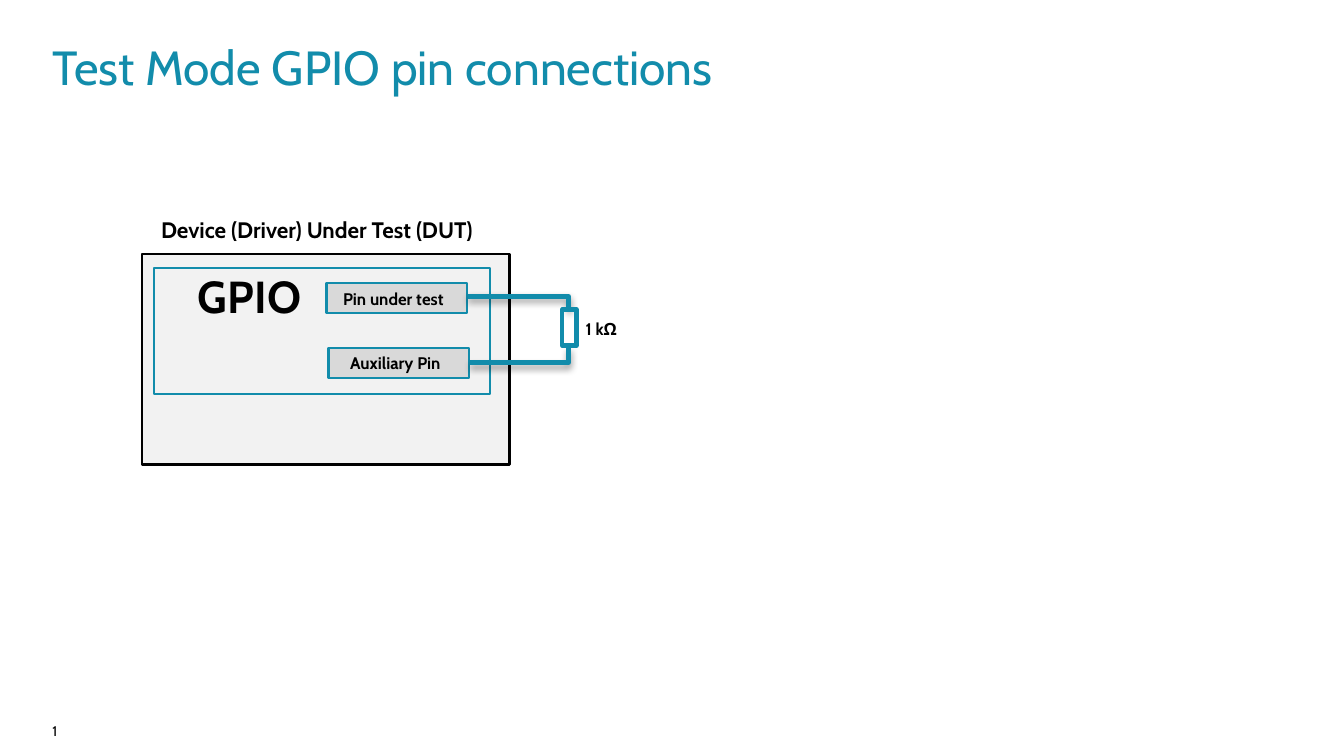
from dataclasses import dataclass

import lxml.etree
import pptx
import pptx.dml.color
import pptx.enum.shapes
import pptx.enum.text
import pptx.oxml.ns
import pptx.shapes.autoshape
import pptx.slide
import pptx.util

Cm = pptx.util.Cm
Pt = pptx.util.Pt
RECT = pptx.enum.shapes.MSO_SHAPE.RECTANGLE
ROUNDED = pptx.enum.shapes.MSO_SHAPE.ROUNDED_RECTANGLE
ALIGN = pptx.enum.text.PP_ALIGN
ANCHOR = pptx.enum.text.MSO_ANCHOR

FONT = "Cabin"
TEAL = "128CAB"
BLACK = "000000"
PALE_GREY = "F2F2F2"
PIN_GREY = "D9D9D9"
PIN_INSETS = (0.25, 0.13, 0.41, 0.13)


@dataclass
class Block:
    """A diagram shape; lengths in cm, text size and line width in points."""
    left: float
    top: float
    width: float
    height: float
    geometry: pptx.enum.shapes.MSO_SHAPE = RECT
    fill: str | None = None
    line: str | None = None
    line_width: float = 1.5
    text: str = ""
    size: float = 12
    insets: tuple[float, float, float, float] = (0.25, 0.13, 0.25, 0.13)


@dataclass
class Label:
    """Plain text at the top left of its box; lengths in cm."""
    text: str
    left: float
    top: float
    width: float
    height: float
    size: float
    color: str = BLACK
    bold: bool = False
    wrap: bool = True


@dataclass
class Wire:
    """Runs level from a pin to the resistor's axis, then to its end."""
    pin_x: float
    pin_y: float
    end_x: float
    end_y: float


def rgb(value: str) -> pptx.dml.color.RGBColor:
    return pptx.dml.color.RGBColor.from_string(value)


def write(frame: pptx.text.text.TextFrame, text: str, size: float, color: str,
          bold: bool, align: ALIGN, insets: tuple[float, float, float, float]) -> None:
    frame.margin_left, frame.margin_top, frame.margin_right, frame.margin_bottom = map(Cm, insets)
    paragraph = frame.paragraphs[0]
    paragraph.text = text
    paragraph.alignment = align
    paragraph.font.name = FONT
    paragraph.font.size = Pt(size)
    paragraph.font.bold = bold
    paragraph.font.color.rgb = rgb(color)


def draw_block(slide: pptx.slide.Slide, block: Block) -> None:
    shape = slide.shapes.add_shape(block.geometry, Cm(block.left), Cm(block.top),
                                   Cm(block.width), Cm(block.height))
    shape.shadow.inherit = False
    if block.fill:
        shape.fill.solid()
        shape.fill.fore_color.rgb = rgb(block.fill)
    else:
        shape.fill.background()
    if block.line:
        shape.line.color.rgb = rgb(block.line)
        shape.line.width = Pt(block.line_width)
    else:
        shape.line.fill.background()
    if block.text:
        shape.text_frame.word_wrap = True
        shape.text_frame.vertical_anchor = ANCHOR.MIDDLE
        write(shape.text_frame, block.text, block.size, BLACK, True, ALIGN.CENTER, block.insets)


def draw_label(slide: pptx.slide.Slide, label: Label) -> None:
    box = slide.shapes.add_textbox(Cm(label.left), Cm(label.top), Cm(label.width), Cm(label.height))
    box.text_frame.word_wrap = label.wrap
    write(box.text_frame, label.text, label.size, label.color, label.bold, ALIGN.LEFT, (0, 0, 0, 0))


def draw_wire(slide: pptx.slide.Slide, wire: Wire) -> None:
    connector = slide.shapes.add_connector(
        pptx.enum.shapes.MSO_CONNECTOR.ELBOW,
        Cm(wire.pin_x), Cm(wire.pin_y), Cm(wire.end_x), Cm(wire.end_y))
    connector.line.color.rgb = rgb(TEAL)
    connector.line.width = Pt(3.35)
    qn = pptx.oxml.ns.qn
    properties = connector._element.spPr
    properties.find(qn("a:prstGeom")).set("prst", "bentConnector2")
    effects = lxml.etree.SubElement(properties, qn("a:effectLst"))
    shadow = lxml.etree.SubElement(
        effects, qn("a:outerShdw"), blurRad=str(Pt(5.2)), dist=str(Pt(3)),
        dir="5400000", rotWithShape="0")
    shadow_color = lxml.etree.SubElement(shadow, qn("a:srgbClr"), val=BLACK)
    lxml.etree.SubElement(shadow_color, qn("a:alpha"), val="40000")


LABELS = [
    Label("1", 1.32, 18.21, 3.63, 0.66, 10),
    Label("Test Mode GPIO pin connections", 1.32, 0.94, 30.99, 1.6, 34.2, TEAL),
    Label("1 kΩ", 14.76, 8.03, 1.32, 0.48, 12, bold=True, wrap=False),
]
DEVICE = [
    Block(2.87, 5.18, 10.24, 1.19, ROUNDED, text="Device (Driver) Under Test (DUT)", size=16),
    Block(3.58, 6.4, 9.27, 5.31, fill=PALE_GREY, line=BLACK, line_width=2),
    Block(3.89, 6.81, 4.8, 1.3, ROUNDED, text="GPIO", size=32),
    Block(3.89, 6.76, 8.46, 3.18, line=TEAL),
]
PINS = [
    Block(left, top, 3.53, 0.76, fill=PIN_GREY, line=TEAL, text=name, insets=PIN_INSETS)
    for name, left, top in [("Auxiliary Pin", 8.28, 8.76), ("Pin under test", 8.23, 7.14)]
]
RESISTOR = Block(14.17, 7.8, 0.36, 0.91, line=TEAL, line_width=3)
WIRES = [
    Wire(11.79, 7.47, 14.33, 7.8),
    Wire(11.84, 9.14, 14.33, 8.74),
]


def main() -> None:
    presentation = pptx.Presentation()
    presentation.slide_width = Cm(33.87)
    presentation.slide_height = Cm(19.05)
    slide = presentation.slides.add_slide(presentation.slide_layouts[6])
    for block in DEVICE + PINS:
        draw_block(slide, block)
    for wire in WIRES:
        draw_wire(slide, wire)
    draw_block(slide, RESISTOR)
    for label in LABELS:
        draw_label(slide, label)
    presentation.save("out.pptx")


if __name__ == "__main__":
    main()
